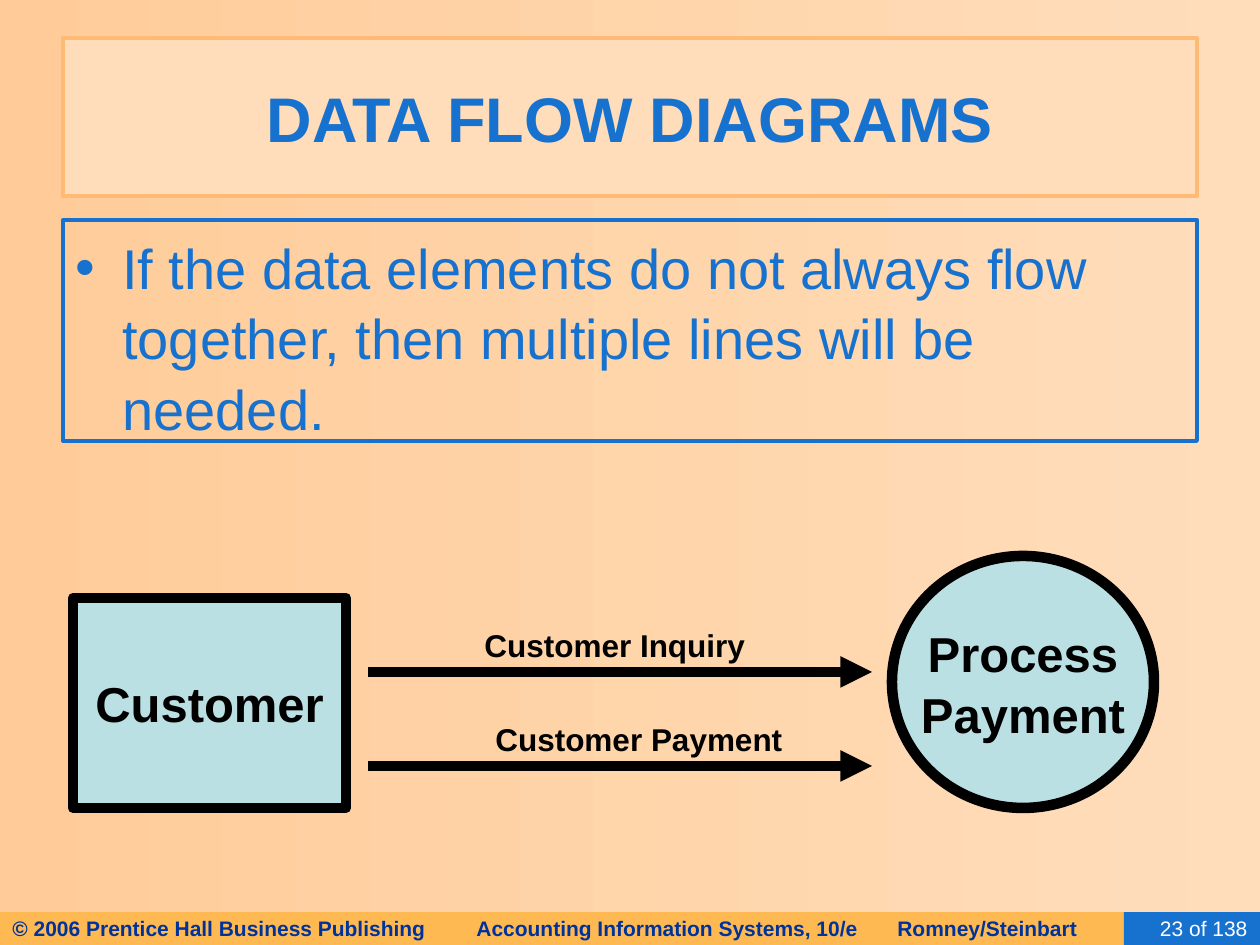
"""Build the data flow diagram slide about separate customer flows."""
from lxml import etree
from pptx import Presentation
from pptx import util as u
from pptx.dml.color import RGBColor
from pptx.enum import shapes, text
from pptx.oxml.ns import qn

BLUE = RGBColor(0x16, 0x72, 0xCE)
NAVY = RGBColor(0x00, 0x33, 0x99)
PEACH = RGBColor(0xFF, 0xDD, 0xBB)
APRICOT = RGBColor(0xFF, 0xCC, 0x99)
EDGE = RGBColor(0xFF, 0xBA, 0x75)
AMBER = RGBColor(0xFF, 0xB9, 0x53)
AQUA = RGBColor(0xBB, 0xE0, 0xE3)
BLACK = RGBColor(0, 0, 0)
WHITE = RGBColor(0xFF, 0xFF, 0xFF)

RECT, OVAL = shapes.MSO_SHAPE.RECTANGLE, shapes.MSO_SHAPE.OVAL
LEFT, CENTER, RIGHT = text.PP_ALIGN.LEFT, text.PP_ALIGN.CENTER, text.PP_ALIGN.RIGHT

FOOTER = "© 2006 Prentice Hall Business Publishing\tAccounting Information Systems, 10/e\tRomney/Steinbart"
FOOTER_TABS = (464, 885)
BODY = "If the data elements do not always flow together, then multiple lines will be needed."
BODY_INDENT = 47
PANELS = {
    "footer": (RECT, (0, 912, 1166, 33), AMBER, None, 0, FOOTER, 12, NAVY, True, LEFT),
    "number": (RECT, (1124, 912, 136, 33), BLUE, None, 0, "23 of 138", 12, WHITE, False, RIGHT),
    "title": (RECT, (63, 38, 1134, 158), PEACH, EDGE, 2.5, "DATA FLOW DIAGRAMS", 36, BLUE, True, CENTER),
    "body": (RECT, (63, 220, 1134, 221), None, BLUE, 2.25, BODY, 32, BLUE, False, LEFT),
    "entity": (RECT, (73, 598, 273, 210), AQUA, BLACK, 6, "Customer", 28, BLACK, True, CENTER),
    "process": (OVAL, (892, 556, 262, 252), AQUA, BLACK, 6, "Process\nPayment", 28, BLACK, True, CENTER),
}
FLOW_START, FLOW_END, LABEL_RISE = 368, 872, 52
FLOWS = [("Customer Inquiry", 472, 286, 672), ("Customer Payment", 483, 312, 766)]


def px(length):
    return u.Emu(round(length * 914400 / 126))


def write(box, words, size, color, bold, align, wrap):
    frame = box.text_frame
    frame.text = words
    frame.word_wrap = wrap
    for paragraph in frame.paragraphs:
        paragraph.alignment = align
        for span in paragraph.runs:
            span.font.name = "Arial"
            span.font.size = u.Pt(size)
            span.font.bold = bold
            span.font.color.rgb = color


def add_panel(page, name):
    kind, place, fill, edge, weight, words, size, color, bold, align = PANELS[name]
    box = page.shapes.add_shape(kind, *map(px, place))
    box.shadow.inherit = False
    if fill is None:
        box.fill.background()
    else:
        box.fill.solid()
        box.fill.fore_color.rgb = fill
    if edge is None:
        box.line.fill.background()
    else:
        box.line.color.rgb = edge
        box.line.width = u.Pt(weight)
    write(box, words, size, color, bold, align, name in ("title", "body"))
    box.text_frame.vertical_anchor = text.MSO_ANCHOR.MIDDLE
    return box


def add_tabs(paragraph):
    tabs = etree.SubElement(paragraph._p.get_or_add_pPr(), qn("a:tabLst"))
    for stop in FOOTER_TABS:
        etree.SubElement(tabs, qn("a:tab"), pos=str(px(stop)), algn="l")


def add_bullet(paragraph):
    properties = paragraph._p.get_or_add_pPr()
    properties.set("marL", str(px(BODY_INDENT)))
    properties.set("indent", str(px(-BODY_INDENT)))
    etree.SubElement(properties, qn("a:buFont"), typeface="Arial")
    etree.SubElement(properties, qn("a:buChar"), char="•")


def add_flow(page, label, left, width, y):
    arrow = page.shapes.add_connector(
        shapes.MSO_CONNECTOR.STRAIGHT, px(FLOW_START), px(y), px(FLOW_END), px(y))
    arrow.line.color.rgb = BLACK
    arrow.line.width = u.Pt(6)
    etree.SubElement(arrow.line._get_or_add_ln(), qn("a:tailEnd"), type="triangle")
    etree.SubElement(arrow._element.spPr, qn("a:effectLst"))
    box = page.shapes.add_textbox(*map(px, (left, y - LABEL_RISE, width, 50)))
    write(box, label, 18, BLACK, True, LEFT, False)


def main():
    deck = Presentation()
    deck.slide_width, deck.slide_height = px(1260), px(945)
    page = deck.slides.add_slide(deck.slide_layouts[6])
    backdrop = page.background.fill
    backdrop.gradient()
    backdrop.gradient_angle = 0
    for stop, color in zip(backdrop.gradient_stops, (APRICOT, PEACH)):
        stop.color.rgb = color

    panels = {name: add_panel(page, name) for name in PANELS}
    add_tabs(panels["footer"].text_frame.paragraphs[0])
    body = panels["body"].text_frame
    body.vertical_anchor = text.MSO_ANCHOR.TOP
    body.margin_top = px(10)
    add_bullet(body.paragraphs[0])
    for name in ("body", "process"):
        for paragraph in panels[name].text_frame.paragraphs:
            paragraph.line_spacing = 1.05
    for flow in FLOWS:
        add_flow(page, *flow)
    deck.save("out.pptx")


if __name__ == "__main__":
    main()
